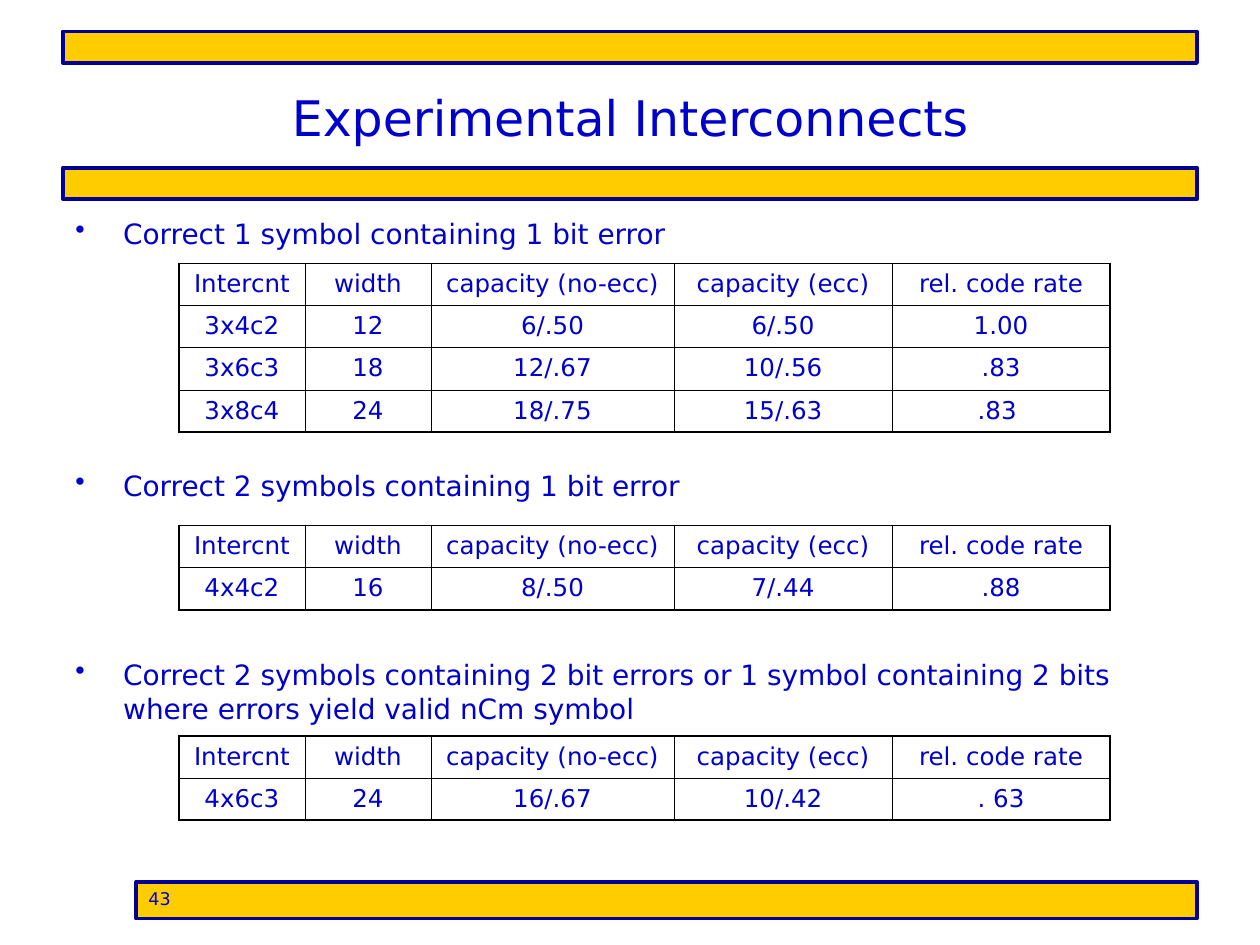
from lxml.etree import SubElement
from pptx import Presentation
from pptx.dml.color import RGBColor
from pptx.enum.shapes import MSO_SHAPE
from pptx.enum.text import MSO_ANCHOR, PP_ALIGN
from pptx.oxml import parse_xml
from pptx.oxml.ns import nsdecls, qn
from pptx.util import Inches, Pt

COLORS = {"text": "0000CC", "bar": "FFCC00", "edge": "000099", "grid": "000000"}
HEADER = ["Intercnt", "width", "capacity (no-ecc)", "capacity (ecc)", "rel. code rate"]
COL_WIDTHS = [1, 1, 1.93, 1.73, 1.73]
SECTIONS = [
    ("Correct 1 symbol containing 1 bit error", 1.67, 0.58, 2.09, 1.34,
     [["3x4c2", "12", "6/.50", "6/.50", "1.00"],
      ["3x6c3", "18", "12/.67", "10/.56", ".83"],
      ["3x8c4", "24", "18/.75", "15/.63", ".83 "]]),
    ("Correct 2 symbols containing 1 bit error", 3.67, 0.42, 4.17, 0.67,
     [["4x4c2", "16", "8/.50", "7/.44", ".88"]]),
    ("Correct 2 symbols containing 2 bit errors or 1 symbol containing 2 bits "
     "where errors yield valid nCm symbol", 5.17, 0.67, 5.84, 0.67,
     [["4x6c3", "24", "16/.67", "10/.42", ". 63"]]),
]


class SlideBuilder:
    """Draws bars, texts and ruled tables in one style on the current slide."""

    def __init__(self, s, font="DejaVu Sans"):
        self.s = s
        self.font = font

    def color(self, name):
        return RGBColor.from_string(COLORS[name])

    def fill_text(self, tf, text, size, align=PP_ALIGN.LEFT):
        tf.text = text
        p = tf.paragraphs[0]
        p.alignment = align
        for r in p.runs:
            r.font.name = self.font
            r.font.size = Pt(size)
            r.font.color.rgb = self.color("text")
        return p

    def bar(self, x, y, w, h, text=None):
        sp = self.s.shapes.add_shape(
            MSO_SHAPE.RECTANGLE, Inches(x), Inches(y), Inches(w), Inches(h))
        sp.shadow.inherit = False
        sp.fill.solid()
        sp.fill.fore_color.rgb = self.color("bar")
        sp.line.color.rgb = self.color("edge")
        sp.line.width = Pt(2.25)
        if text:
            sp.text_frame.vertical_anchor = MSO_ANCHOR.TOP
            self.fill_text(sp.text_frame, text, 10)

    def text(self, y, h, text, size, align=PP_ALIGN.LEFT, anchor=MSO_ANCHOR.TOP):
        tf = self.s.shapes.add_textbox(
            Inches(0.5), Inches(y), Inches(9), Inches(h)).text_frame
        tf.word_wrap = True
        tf.vertical_anchor = anchor
        return self.fill_text(tf, text, size, align)

    def bullet(self, y, h, text):
        pPr = self.text(y, h, text, 16)._p.get_or_add_pPr()
        pPr.set("marL", str(Inches(0.38)))
        pPr.set("indent", str(-Inches(0.38)))
        SubElement(SubElement(pPr, qn("a:buClr")), qn("a:srgbClr"), val=COLORS["text"])
        SubElement(pPr, qn("a:buChar"), char="•")

    def borders(self, cell, outer):
        tcPr = cell._tc.get_or_add_tcPr()
        for i, side in enumerate("LRTB"):
            width = Pt(1.08 if side in outer else 0.45)
            tcPr.insert(i, parse_xml(
                f'<a:ln{side} {nsdecls("a")} w="{width}"><a:solidFill>'
                f'<a:srgbClr val="{COLORS["grid"]}"/></a:solidFill></a:ln{side}>'))

    def table(self, y, h, rows):
        n, m = len(rows), len(COL_WIDTHS)
        tbl = self.s.shapes.add_table(
            n, m, Inches(1.42), Inches(y), Inches(sum(COL_WIDTHS)), Inches(h)).table
        tbl.first_row = tbl.horz_banding = False
        for col, w in zip(tbl.columns, COL_WIDTHS):
            col.width = Inches(w)
        for i, row in enumerate(rows):
            for j, value in enumerate(row):
                cell = tbl.cell(i, j)
                cell.fill.background()
                self.fill_text(cell.text_frame, value, 14, PP_ALIGN.CENTER)
                edges = {"L": j == 0, "R": j == m - 1, "T": i == 0, "B": i == n - 1}
                self.borders(cell, [side for side, on in edges.items() if on])


def main():
    prs = Presentation()
    prs.slide_width, prs.slide_height = Inches(10), Inches(7.5)
    b = SlideBuilder(prs.slides.add_slide(prs.slide_layouts[6]))
    for y in (1.33, 0.25):
        b.bar(0.5, y, 9, 0.25)
    b.text(0.3, 1.25, "Experimental Interconnects", 28, PP_ALIGN.CENTER, MSO_ANCHOR.MIDDLE)
    for text, text_y, text_h, table_y, table_h, rows in SECTIONS:
        b.bullet(text_y, text_h, text)
        b.table(table_y, table_h, [HEADER] + rows)
    b.bar(1.08, 7, 8.42, 0.29, "43")
    prs.save("out.pptx")


if __name__ == "__main__":
    main()
